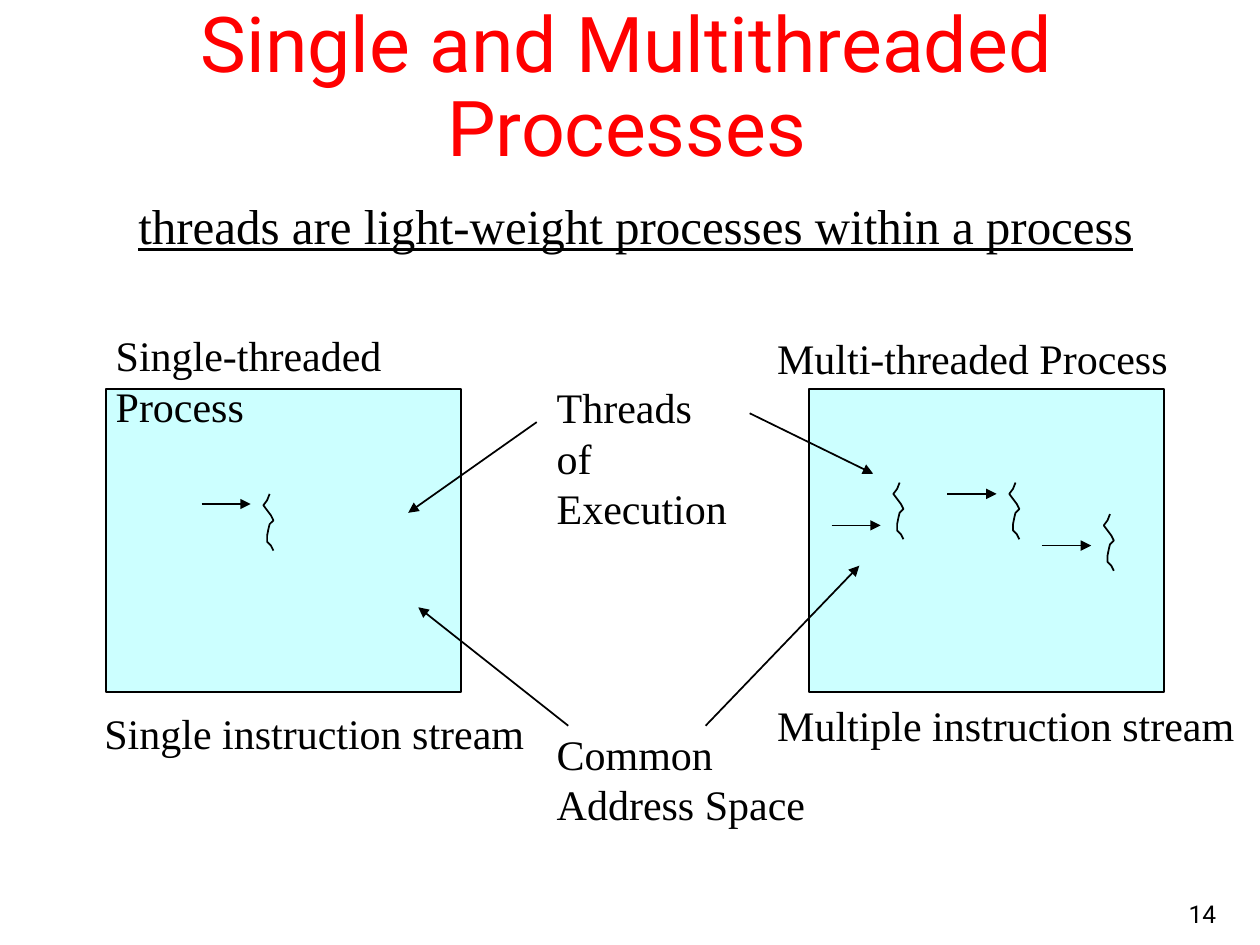
from lxml import etree
from pptx import Presentation, util as u
from pptx.dml.color import RGBColor
from pptx.enum import shapes, text
from pptx.oxml.ns import qn

SERIF = "Times New Roman"
SANS = "Roboto"
BLACK = "000000"
RED = "FF0000"
CYAN = "CCFFFF"
SQUIGGLE = [(0.05, 0), (0.03, 0.05), (0, 0.09), (0.03, 0.13), (0.06, 0.17), (0.08, 0.21),
            (0.05, 0.24), (0.04, 0.28), (0.03, 0.33), (0.03, 0.38), (0.06, 0.41), (0.08, 0.45)]


def color(value):
    return RGBColor.from_string(value)


class Diagram:
    line_width = u.Pt(1)

    def __init__(self, slide):
        self.slide = slide

    def outline(self, shape):
        shape.line.color.rgb = color(BLACK)
        shape.line.width = self.line_width

    def label(self, left, top, width, height, lines, size=24, font=SERIF, fill=BLACK,
              wrap=True, underline=None, align=text.PP_ALIGN.LEFT,
              anchor=text.MSO_ANCHOR.TOP, spacing=None):
        box = self.slide.shapes.add_textbox(*map(u.Inches, (left, top, width, height)))
        frame = box.text_frame
        frame.word_wrap = wrap
        frame.vertical_anchor = anchor
        for index, line in enumerate(lines):
            paragraph = frame.add_paragraph() if index else frame.paragraphs[0]
            paragraph.alignment = align
            paragraph.line_spacing = spacing
            run = paragraph.add_run()
            run.text = line
            run.font.size = u.Pt(size)
            run.font.name = font
            run.font.underline = underline
            run.font.color.rgb = color(fill)

    def process(self, left, top):
        shape = self.slide.shapes.add_shape(
            shapes.MSO_SHAPE.RECTANGLE, *map(u.Inches, (left, top, 2.82, 2.4)))
        shape.shadow.inherit = False
        shape.fill.solid()
        shape.fill.fore_color.rgb = color(CYAN)
        self.outline(shape)

    def arrow(self, start_x, start_y, end_x, end_y):
        connector = self.slide.shapes.add_connector(
            shapes.MSO_CONNECTOR.STRAIGHT, *map(u.Inches, (start_x, start_y, end_x, end_y)))
        self.outline(connector)
        line = connector.line._get_or_add_ln()
        etree.SubElement(line, qn("a:tailEnd"), type="triangle")
        etree.SubElement(connector._element.spPr, qn("a:effectLst"))

    def thread(self, left, top, arrow_y):
        points = [(u.Inches(left + x), u.Inches(top + y)) for x, y in SQUIGGLE]
        builder = self.slide.shapes.build_freeform(*points[0])
        builder.add_line_segments(points[1:], close=False)
        shape = builder.convert_to_shape()
        shape.shadow.inherit = False
        shape.fill.background()
        self.outline(shape)
        self.arrow(left - 0.49, arrow_y, left - 0.1, arrow_y)


def main():
    presentation = Presentation()
    presentation.slide_width = u.Inches(10)
    presentation.slide_height = u.Inches(7.5)
    diagram = Diagram(presentation.slides.add_slide(presentation.slide_layouts[6]))

    diagram.label(7.67, 6.92, 2.08, 0.5, ["14"], size=14, font=SANS,
                  align=text.PP_ALIGN.RIGHT, anchor=text.MSO_ANCHOR.BOTTOM)
    diagram.label(0.17, 0.17, 9.61, 1.08, ["Single and Multithreaded Processes"],
                  size=44, font=SANS, fill=RED, align=text.PP_ALIGN.CENTER,
                  anchor=text.MSO_ANCHOR.MIDDLE, spacing=0.9)
    diagram.label(1, 1.5, 8.1, 0.57, ["threads are light-weight processes within a process"],
                  size=28, wrap=False, underline=True)

    for left in (0.84, 6.42):
        diagram.process(left, 3.09)
    for left, top, arrow_y in ((2.09, 3.92, 4), (8.01, 3.83, 3.92),
                               (8.76, 4.08, 4.33), (7.09, 3.83, 4.17)):
        diagram.thread(left, top, arrow_y)

    for left, top, width, caption in (
            (0.82, 2.57, 3.3, "Single-threaded Process"),
            (0.73, 5.57, 4.26, "Single instruction stream"),
            (6.07, 5.5, 3.85, "Multiple instruction stream"),
            (6.07, 2.59, 3.6, "Multi-threaded Process")):
        diagram.label(left, top, width, 0.5, [caption])
    diagram.label(4.32, 2.98, 1.63, 0.9, ["Threads of", "Execution"], wrap=False)
    diagram.label(4.32, 5.73, 2.17, 0.9, ["Common", "Address Space"], wrap=False)

    for ends in ((4.51, 5.76, 3.32, 4.82), (4.26, 3.35, 3.24, 4.07),
                 (5.6, 5.76, 6.82, 4.49), (5.95, 3.28, 6.93, 3.76)):
        diagram.arrow(*ends)

    presentation.save("out.pptx")


if __name__ == "__main__":
    main()
